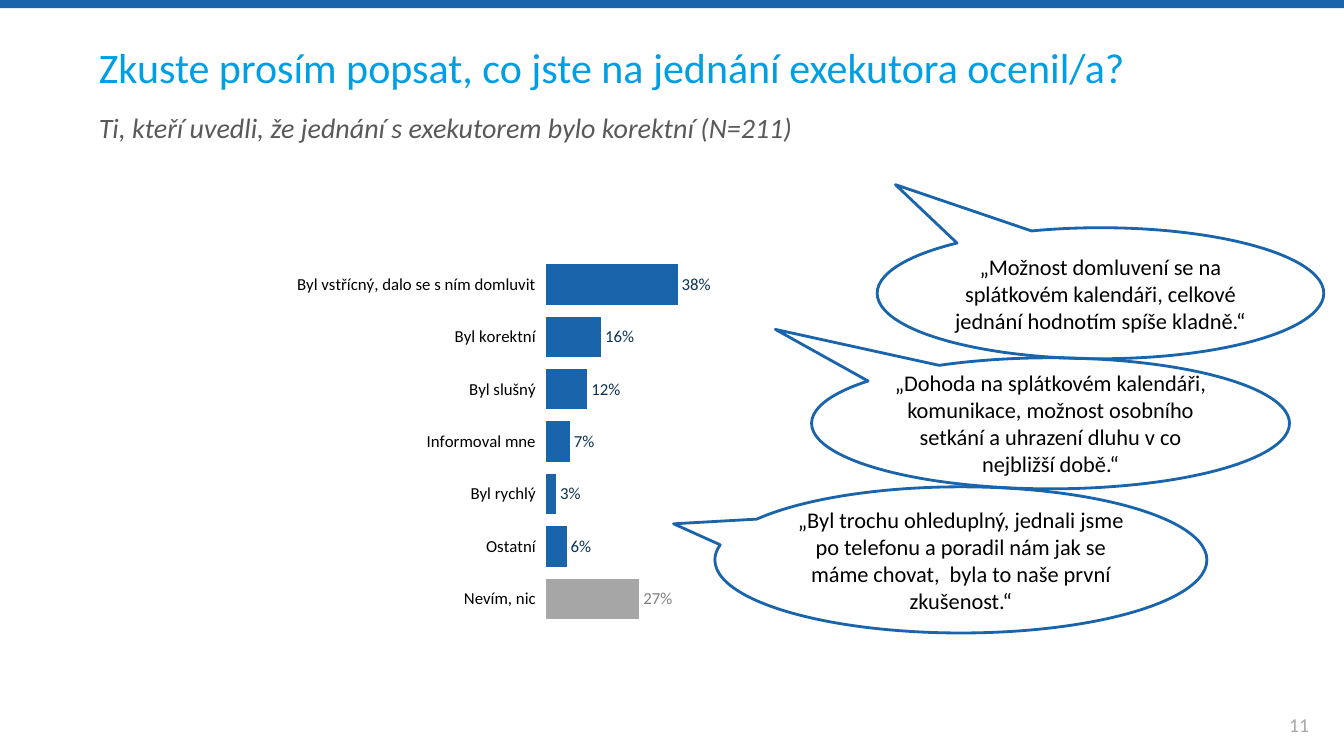
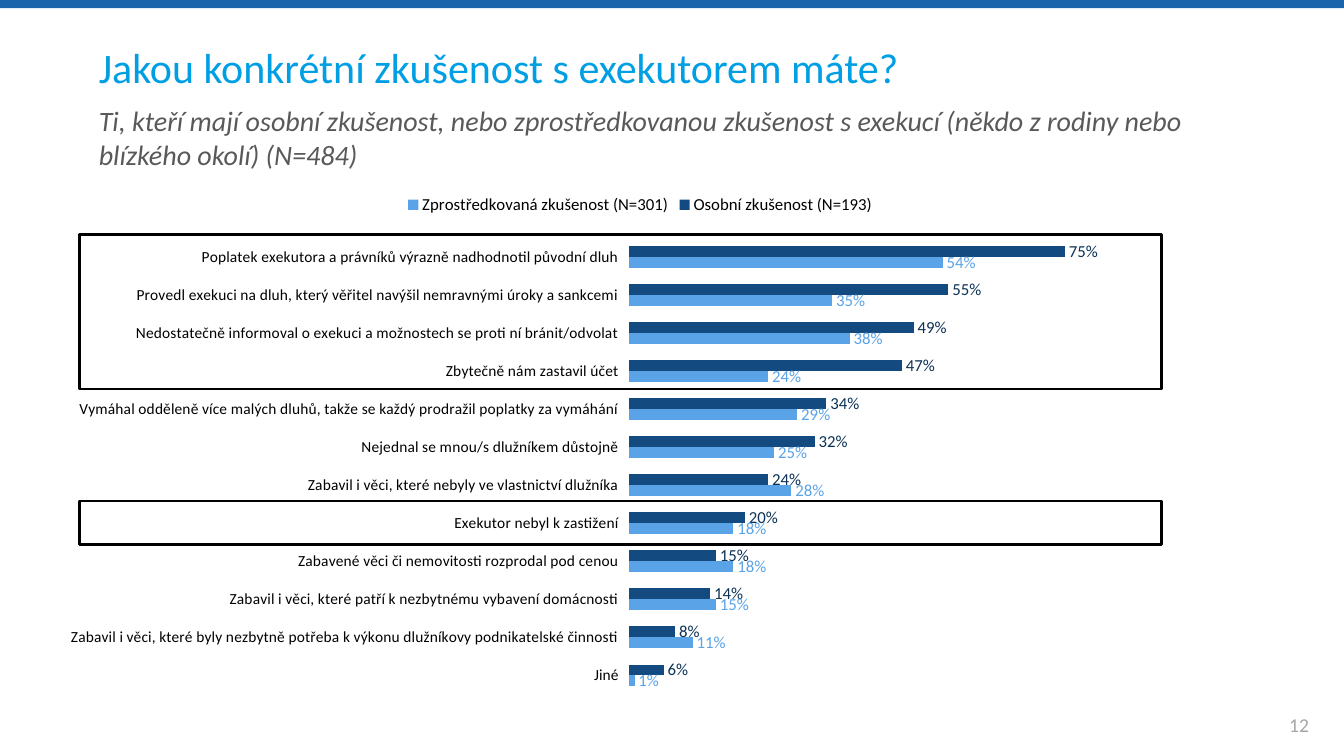
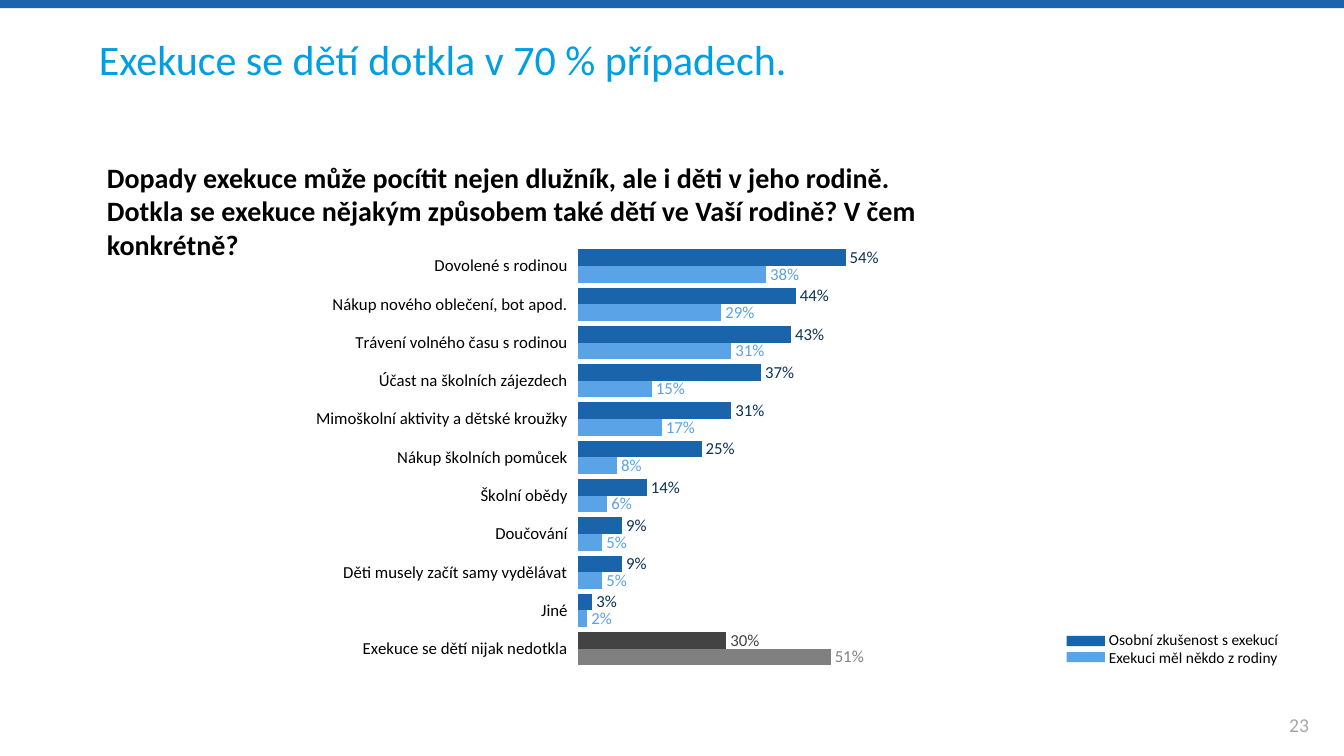
"""Build three survey slides about experience with debt enforcement."""
from pptx import Presentation
from pptx.chart.data import CategoryChartData
from pptx.dml.color import RGBColor
from pptx.enum.chart import XL_CHART_TYPE, XL_LABEL_POSITION, XL_LEGEND_POSITION, XL_TICK_MARK
from pptx.enum.shapes import MSO_SHAPE
from pptx.enum.text import MSO_ANCHOR, MSO_AUTO_SIZE, PP_ALIGN
from pptx.oxml import parse_xml
from pptx.oxml.ns import nsdecls, qn
from pptx.util import Inches, Pt

FONT = "Calibri"
BLUE, LIGHT, DARK, TITLE = "1964AA", "5AA3E7", "134B80", "009FE3"
BLACK, GREY, SILVER, LABEL = "000000", "595959", "A6A6A6", "0C3255"
CHARCOAL, MID_GREY = "434343", "808080"


def rgb(color):
    return RGBColor.from_string(color)


def style(font, size, color, bold=False, italic=False):
    font.name = FONT
    font.size = Pt(size)
    font.color.rgb = rgb(color)
    font.bold = bold
    font.italic = italic


SLIDES = [
    {
        "number": "11",
        "title": "Zkuste prosím popsat, co jste na jednání exekutora ocenil/a?",
        "title_width": 13.33, "anchor": MSO_ANCHOR.MIDDLE,
        "body": "Ti, kteří uvedli, že jednání s exekutorem bylo korektní (N=211)",
        "body_at": (0, 1.1, 13.33, 0.72), "insets": (0.98, 0), "body_color": GREY, "bold": False,
        "chart_at": (2.42, 2.44, 6.96, 3.94), "plot": (0.43, 0.031, 0.495, 0.924),
        "gap": 30, "axis_size": 12, "legend": False,
        "cats": ["Byl vstřícný, dalo se s ním domluvit", "Byl korektní", "Byl slušný",
                 "Informoval mne", "Byl rychlý", "Ostatní", "Nevím, nic"],
        "series": [("Series 1", BLUE, LABEL, SILVER, MID_GREY,
                    [0.38, 0.16, 0.12, 0.07, 0.03, 0.06, 0.27])],
    },
    {
        "number": "12",
        "title": "Jakou konkrétní zkušenost s exekutorem máte?",
        "title_width": 11.23, "anchor": MSO_ANCHOR.MIDDLE,
        "body": "Ti, kteří mají osobní zkušenost, nebo zprostředkovanou zkušenost s exekucí "
                "(někdo z rodiny nebo blízkého okolí) (N=484)",
        "body_at": (0, 1.03, 13.18, 0.72), "insets": (0.98, 0), "body_color": GREY, "bold": False,
        "chart_at": (0.64, 1.82, 11.42, 5.07), "plot": (0.49, 0.107, 0.505, 0.893),
        "gap": 150, "axis_size": 11, "legend": True,
        "cats": ["Poplatek exekutora a právníků výrazně nadhodnotil původní dluh",
                 "Provedl exekuci na dluh, který věřitel navýšil nemravnými úroky a sankcemi",
                 "Nedostatečně informoval o exekuci a možnostech se proti ní bránit/odvolat",
                 "Zbytečně nám zastavil účet",
                 "Vymáhal odděleně více malých dluhů, takže se každý prodražil poplatky za vymáhání",
                 "Nejednal se mnou/s dlužníkem důstojně",
                 "Zabavil i věci, které nebyly ve vlastnictví dlužníka",
                 "Exekutor nebyl k zastižení",
                 "Zabavené věci či nemovitosti rozprodal pod cenou",
                 "Zabavil i věci, které patří k nezbytnému vybavení domácnosti",
                 "Zabavil i věci, které byly nezbytně potřeba k výkonu dlužníkovy podnikatelské činnosti",
                 "Jiné"],
        "series": [("Osobní zkušenost (N=193)", DARK, LABEL, None, None,
                    [0.75, 0.55, 0.49, 0.47, 0.34, 0.32, 0.24, 0.2, 0.15, 0.14, 0.08, 0.06]),
                   ("Zprostředkovaná zkušenost (N=301)", LIGHT, LIGHT, None, None,
                    [0.54, 0.35, 0.38, 0.24, 0.29, 0.25, 0.28, 0.18, 0.18, 0.15, 0.11, 0.01])],
    },
    {
        "number": "23",
        "title": "Exekuce se dětí dotkla v 70 % případech.",
        "title_width": 13.33, "anchor": MSO_ANCHOR.TOP,
        "body": "Dopady exekuce může pocítit nejen dlužník, ale i děti v jeho rodině. Dotkla se "
                "exekuce nějakým způsobem také dětí ve Vaší rodině? V čem konkrétně?",
        "body_at": (0.96, 1.54, 8.79, 0.77), "insets": (0.1, 0.05), "body_color": BLACK, "bold": True,
        "chart_at": (1.16, 2.31, 10.22, 4.52), "plot": (0.447, 0.031, 0.482, 0.924),
        "gap": 30, "axis_size": 12, "legend": False,
        "cats": ["Dovolené s rodinou", "Nákup nového oblečení, bot apod.",
                 "Trávení volného času s rodinou", "Účast na školních zájezdech",
                 "Mimoškolní aktivity a dětské kroužky", "Nákup školních pomůcek",
                 "Školní obědy", "Doučování", "Děti musely začít samy vydělávat", "Jiné",
                 "Exekuce se dětí nijak nedotkla"],
        "series": [("Series 1", BLUE, LABEL, CHARCOAL, CHARCOAL,
                    [0.54, 0.44, 0.43, 0.37, 0.31, 0.25, 0.14, 0.09, 0.09, 0.03, 0.3]),
                   ("Series 2", LIGHT, LIGHT, MID_GREY, MID_GREY,
                    [0.38, 0.29, 0.31, 0.15, 0.17, 0.08, 0.06, 0.05, 0.05, 0.02, 0.51])],
    },
]

prs = Presentation()
prs.slide_width = Inches(13.33)
prs.slide_height = Inches(7.5)
layout = prs.slide_layouts[1]

for d in SLIDES:
    s = prs.slides.add_slide(layout)

    title, body = s.placeholders
    title.left, title.top = Inches(0), Inches(0.33)
    title.width, title.height = Inches(d["title_width"]), Inches(0.67)
    title.text_frame.text = d["title"]
    title.text_frame.vertical_anchor = d["anchor"]
    style(title.text_frame.paragraphs[0].runs[0].font, 30, TITLE)

    body.left, body.top, body.width, body.height = [Inches(v) for v in d["body_at"]]
    body.text_frame.text = d["body"]
    pPr = body.text_frame.paragraphs[0]._p.get_or_add_pPr()
    pPr.set("marL", "0")
    pPr.set("indent", "0")
    pPr.append(parse_xml(f"<a:buNone {nsdecls('a')}/>"))
    style(body.text_frame.paragraphs[0].runs[0].font, 20, d["body_color"], d["bold"], not d["bold"])

    side, top = d["insets"]
    for tf, left, right, edge in ((title.text_frame, 0.98, 0, 0), (body.text_frame, side, side, top)):
        tf.auto_size = MSO_AUTO_SIZE.NONE
        tf.word_wrap = True
        tf.margin_left, tf.margin_right = Inches(left), Inches(right)
        tf.margin_top = tf.margin_bottom = Inches(edge)
        tf.paragraphs[0].alignment = PP_ALIGN.LEFT
        tf.paragraphs[0].space_before = Pt(0)

    sp = s.shapes.add_textbox(Inches(12.44), Inches(6.99), Inches(0.89), Inches(0.4))
    tf = sp.text_frame
    tf.text = d["number"]
    tf.word_wrap = True
    tf.vertical_anchor = MSO_ANCHOR.MIDDLE
    tf.paragraphs[0].alignment = PP_ALIGN.CENTER
    style(tf.paragraphs[0].runs[0].font, 14, SILVER)

    data = CategoryChartData(number_format="0%")
    data.categories = d["cats"]
    for name, *_, values in d["series"]:
        data.add_series(name, values)
    chart = s.shapes.add_chart(XL_CHART_TYPE.BAR_CLUSTERED,
                               *[Inches(v) for v in d["chart_at"]], data).chart
    style(chart.font, 10.5, BLACK)
    chart.has_title = False
    chart.has_legend = d["legend"]
    if d["legend"]:
        chart.legend.position = XL_LEGEND_POSITION.TOP
        chart.legend.include_in_layout = False
        style(chart.legend.font, 12, BLACK)

    axis = chart.category_axis
    axis.reverse_order = True
    axis.major_tick_mark = XL_TICK_MARK.OUTSIDE
    axis.format.line.fill.background()
    style(axis.tick_labels.font, d["axis_size"], BLACK)
    axis = chart.value_axis
    axis.minimum_scale, axis.maximum_scale = 0, 1
    axis.has_major_gridlines = False
    axis.visible = False

    plot = chart.plots[0]
    plot.gap_width = d["gap"]
    plot.overlap = 0
    plot.vary_by_categories = False
    for series, (_, fill, label, last_fill, last_label, _) in zip(plot.series, d["series"]):
        series.format.fill.solid()
        series.format.fill.fore_color.rgb = rgb(fill)
        labels = series.data_labels
        labels.show_value = True
        labels.number_format = "0%"
        labels.number_format_is_linked = False
        labels.position = XL_LABEL_POSITION.OUTSIDE_END
        style(labels.font, 12, label)
        if last_fill:
            point = series.points[len(d["cats"]) - 1]
            point.format.fill.solid()
            point.format.fill.fore_color.rgb = rgb(last_fill)
            style(point.data_label.font, 12, last_label)
            point.data_label.position = XL_LABEL_POSITION.OUTSIDE_END

    area = chart.element.find(".//" + qn("c:plotArea"))
    for old in area.findall(qn("c:layout")):
        area.remove(old)
    x, y, w, h = d["plot"]
    area.insert(0, parse_xml(
        f'<c:layout {nsdecls("c")}><c:manualLayout><c:layoutTarget val="inner"/>'
        f'<c:xMode val="edge"/><c:yMode val="edge"/><c:x val="{x}"/><c:y val="{y}"/>'
        f'<c:w val="{w}"/><c:h val="{h}"/></c:manualLayout></c:layout>'))

opinions, experience, children = prs.slides

band = opinions.shapes.add_shape(MSO_SHAPE.RECTANGLE, 0, 0, prs.slide_width, Inches(0.08))
band.shadow.inherit = False
band.fill.solid()
band.fill.fore_color.rgb = rgb(BLUE)
band.line.fill.background()
prs.slide_master.shapes.element.insert(2, band.element)

QUOTES = [
    ((8.7, 2.26, 4.43, 1.3), (-0.459, -0.829),
     "„Možnost domluvení se na splátkovém kalendáři, celkové jednání hodnotím spíše kladně.“"),
    ((8.05, 3.55, 4.74, 1.3), (-0.576, -0.717),
     "„Dohoda na splátkovém kalendáři, komunikace, možnost osobního setkání a uhrazení dluhu "
     "v co nejbližší době.“"),
    ((7.09, 4.83, 4.88, 1.45), (-0.584, -0.247),
     "„Byl trochu ohleduplný, jednali jsme po telefonu a poradil nám jak se máme chovat,  "
     "byla to naše první zkušenost.“"),
]
for at, tail, quote in QUOTES:
    sp = opinions.shapes.add_shape(MSO_SHAPE.OVAL_CALLOUT, *[Inches(v) for v in at])
    sp.adjustments[0], sp.adjustments[1] = tail
    sp.shadow.inherit = False
    sp.fill.background()
    sp.line.color.rgb = rgb(BLUE)
    sp.line.width = Pt(2)
    tf = sp.text_frame
    tf.text = quote
    tf.word_wrap = True
    tf.vertical_anchor = MSO_ANCHOR.MIDDLE
    tf.paragraphs[0].alignment = PP_ALIGN.CENTER
    style(tf.paragraphs[0].runs[0].font, 16, BLACK)

for top, height in ((2.33, 1.53), (4.97, 0.43)):
    sp = experience.shapes.add_shape(MSO_SHAPE.RECTANGLE, Inches(0.79), Inches(top),
                                     Inches(10.73), Inches(height))
    sp.shadow.inherit = False
    sp.fill.background()
    sp.line.color.rgb = rgb(BLACK)
    sp.line.width = Pt(2)

for top, color in ((6.31, BLUE), (6.47, LIGHT)):
    sp = children.shapes.add_shape(MSO_SHAPE.RECTANGLE, Inches(10.58), Inches(top),
                                   Inches(0.38), Inches(0.1))
    sp.shadow.inherit = False
    sp.fill.solid()
    sp.fill.fore_color.rgb = rgb(color)
    sp.line.fill.background()

sp = children.shapes.add_textbox(Inches(10.9), Inches(6.2), Inches(2.32), Inches(0.47))
tf = sp.text_frame
tf.text = "Osobní zkušenost s exekucí\nExekuci měl někdo z rodiny"
tf.word_wrap = True
for p in tf.paragraphs:
    style(p.runs[0].font, 11, BLACK)

prs.save("out.pptx")
